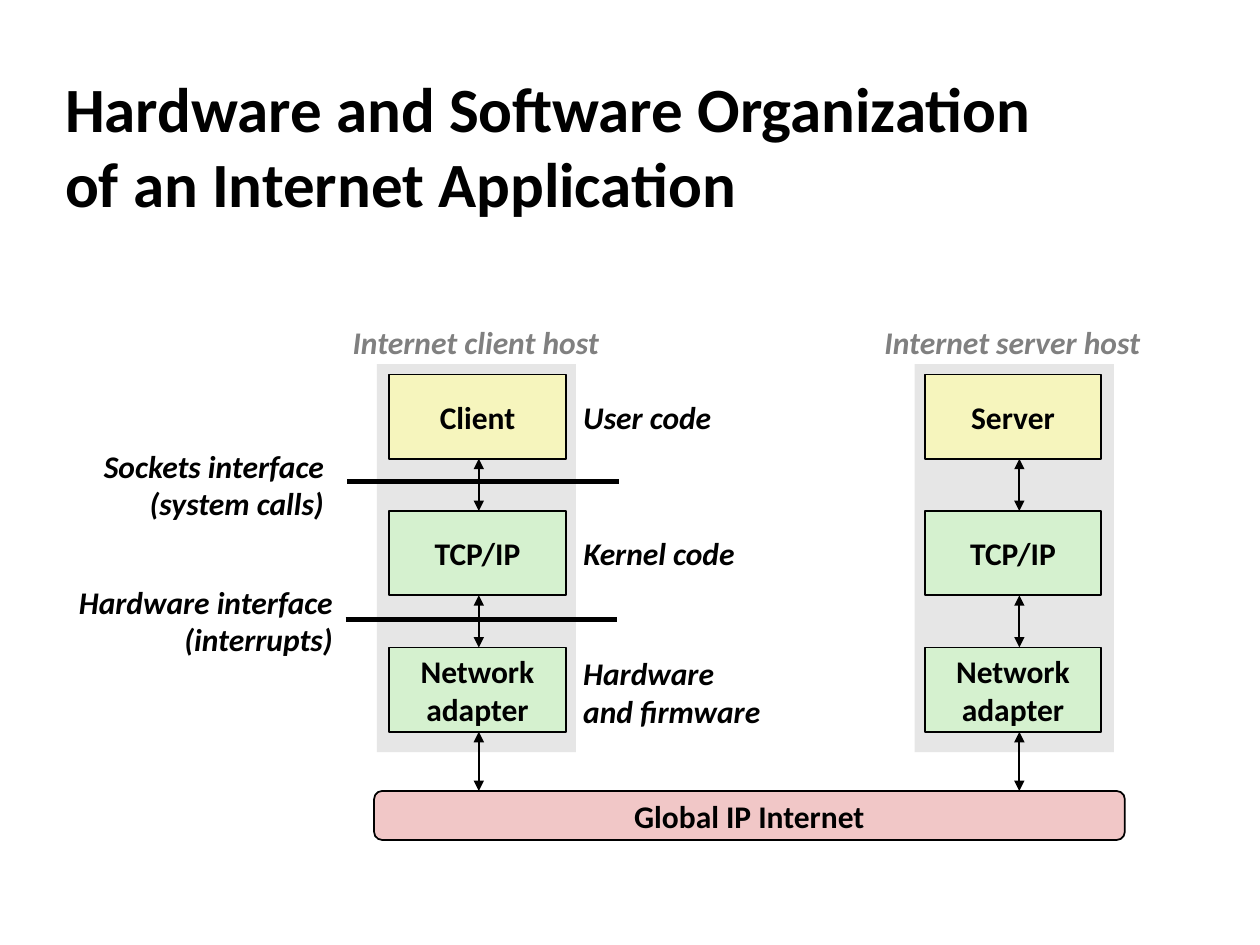
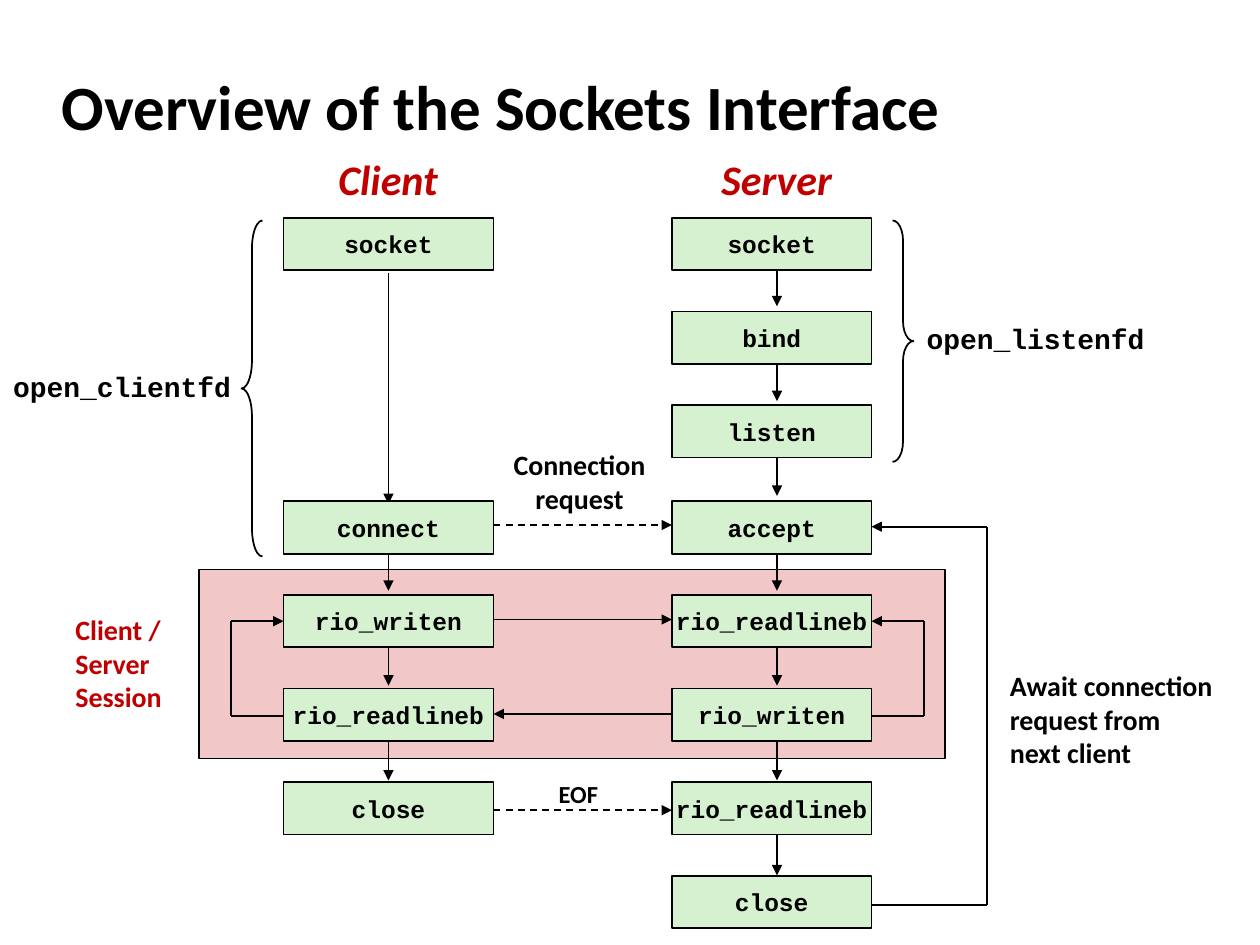
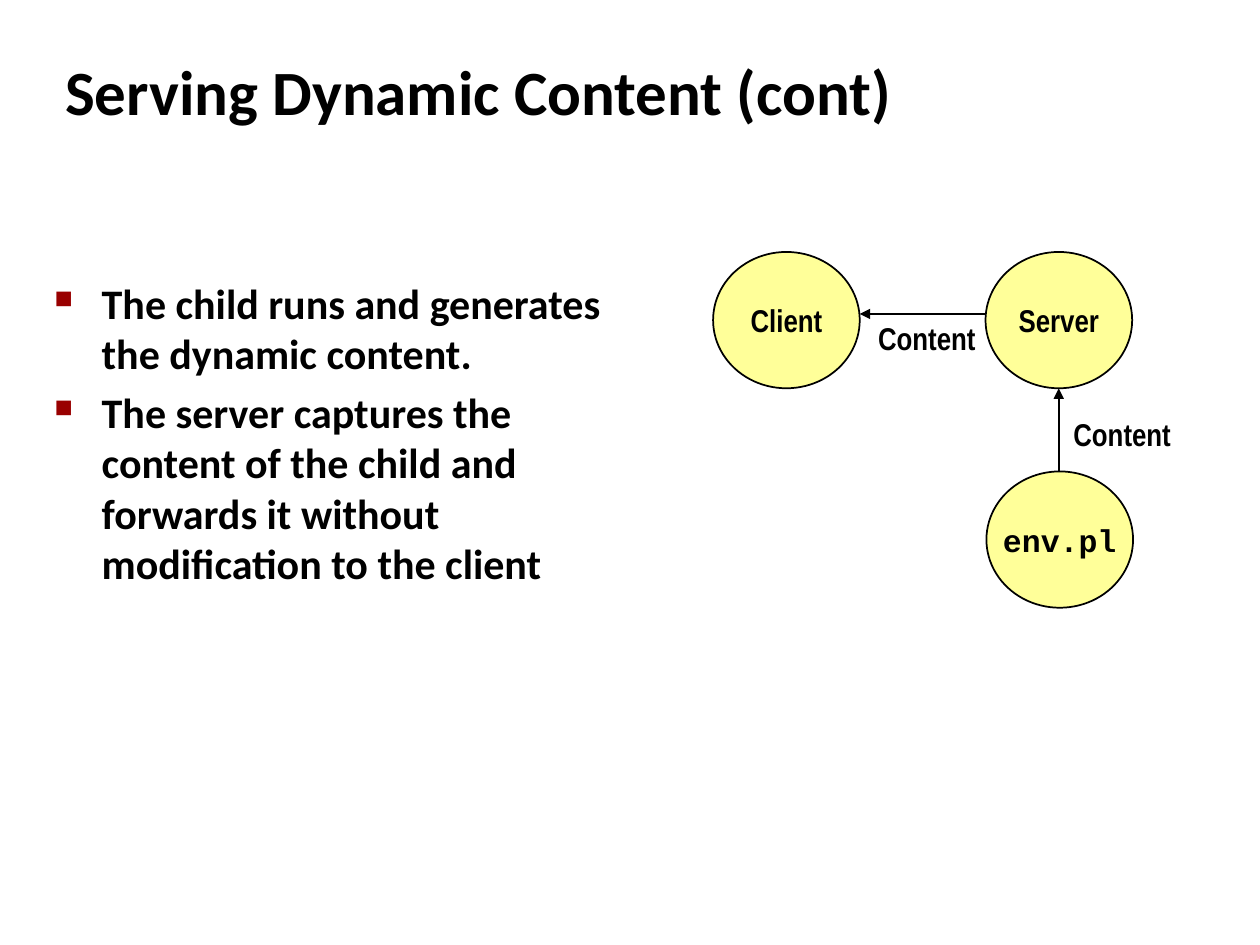
from dataclasses import dataclass

from pptx import Presentation
from pptx import util as u
from pptx.dml.color import RGBColor
from pptx.enum import dml, shapes, text
from pptx.oxml.ns import qn
from lxml import etree

LEFT, CENTER, RIGHT = text.PP_ALIGN.LEFT, text.PP_ALIGN.CENTER, text.PP_ALIGN.RIGHT
MIDDLE, TOP = text.MSO_ANCHOR.MIDDLE, text.MSO_ANCHOR.TOP
RECT = shapes.MSO_SHAPE.RECTANGLE


@dataclass(frozen=True)
class Style:
    size: int
    font: str = "Calibri"
    color: str = "000000"
    italic: bool = False


@dataclass(frozen=True)
class Theme:
    # Colours
    ink: str = "000000"
    host: str = "E6E6E6"
    process: str = "F6F5BD"
    system: str = "D5F1CF"
    network: str = "F1C7C7"
    node: str = "FFFF99"
    bullet: str = "990000"
    # Type styles
    title: Style = Style(36)
    body: Style = Style(24)
    block: Style = Style(18)
    remark: Style = Style(18, italic=True)
    host_name: Style = Style(18, color="808080", italic=True)
    role: Style = Style(24, color="C00000", italic=True)
    session: Style = Style(16, color="C00000")
    note: Style = Style(16)
    small_note: Style = Style(14)
    call: Style = Style(14, "Courier New")
    helper: Style = Style(16, "Courier New")
    program: Style = Style(18, "Courier New")
    narrow: Style = Style(18, "Arial Narrow")


THEME = Theme()


# Element builders; every length is in points
def points(*lengths):
    return [u.Pt(length) for length in lengths]


def write(frame, words, style, align, anchor=MIDDLE, wrap=False):
    frame.text = words
    frame.word_wrap = wrap
    frame.vertical_anchor = anchor
    for paragraph in frame.paragraphs:
        paragraph.alignment = align
        font = paragraph.font
        font.name, font.size = style.font, u.Pt(style.size)
        font.bold, font.italic = True, style.italic
        font.color.rgb = RGBColor.from_string(style.color)


def add_titled_slide(deck, words, area, anchor=MIDDLE):
    slide = deck.slides.add_slide(deck.slide_layouts[5])
    title = slide.shapes.title
    title.left, title.top, title.width, title.height = points(*area)
    write(title.text_frame, words, THEME.title, LEFT, anchor, wrap=True)
    title.text_frame.auto_size = text.MSO_AUTO_SIZE.NONE
    return slide


def add_block(slide, area, fill=None, words="", style=THEME.block,
              geometry=RECT, outlined=True):
    block = slide.shapes.add_shape(geometry, *points(*area))
    block.shadow.inherit = False
    if fill:
        block.fill.solid()
        block.fill.fore_color.rgb = RGBColor.from_string(fill)
    else:
        block.fill.background()
    if outlined:
        block.line.color.rgb = RGBColor.from_string(THEME.ink)
        block.line.width = u.Pt(1)
    else:
        block.line.fill.background()
    if words:
        write(block.text_frame, words, style, CENTER)
    return block


def add_label(slide, area, words, style, align=LEFT, wrap=False):
    label = slide.shapes.add_textbox(*points(*area))
    write(label.text_frame, words, style, align, wrap=wrap)
    label.text_frame.auto_size = text.MSO_AUTO_SIZE.SHAPE_TO_FIT_TEXT


def add_line(slide, x1, y1, x2, y2, arrows="", width=1, dashed=False):
    """Draw a line; arrows is empty, "end" or "both"."""
    link = slide.shapes.add_connector(
        shapes.MSO_CONNECTOR.STRAIGHT, *points(x1, y1, x2, y2))
    link.line.color.rgb = RGBColor.from_string(THEME.ink)
    link.line.width = u.Pt(width)
    if dashed:
        link.line.dash_style = dml.MSO_LINE.DASH
    ends = {"": [], "end": ["a:tailEnd"], "both": ["a:headEnd", "a:tailEnd"]}
    for end in ends[arrows]:
        etree.SubElement(link.line._ln, qn(end), type="triangle")
    etree.SubElement(link._element.spPr, qn("a:effectLst"))


def add_loop(slide, x, far_x, from_y, to_y):
    add_line(slide, x, from_y, far_x, from_y)
    add_line(slide, far_x, from_y, far_x, to_y)
    add_line(slide, far_x, to_y, x, to_y, "end")


def add_brace(slide, geometry, area, curve):
    brace = add_block(slide, area, geometry=geometry)
    brace.adjustments[0] = curve
    brace.adjustments[1] = 0.5


def add_bullets(slide, area, items):
    frame = slide.shapes.add_textbox(*points(*area)).text_frame
    frame.text = "\n".join(items)
    for paragraph in frame.paragraphs:
        props = paragraph._p.get_or_add_pPr()
        props.set("marL", str(u.Pt(27)))
        props.set("indent", str(u.Pt(-27)))
        color = etree.SubElement(props, qn("a:buClr"))
        etree.SubElement(color, qn("a:srgbClr"), val=THEME.bullet)
        etree.SubElement(props, qn("a:buSzPct"), val="60000")
        etree.SubElement(props, qn("a:buChar"), char="■")
    for paragraph in frame.paragraphs[1:]:
        paragraph.space_before = u.Pt(4.8)
    # Fonts come after the bullet elements
    for paragraph in frame.paragraphs:
        font = paragraph.font
        font.name, font.size, font.bold = THEME.body.font, u.Pt(THEME.body.size), True
        font.color.rgb = RGBColor.from_string(THEME.body.color)
    frame.word_wrap = True


# Slide 1: layers of the client and server hosts
def build_organization(deck):
    slide = add_titled_slide(
        deck, "Hardware and Software Organization\vof an Internet Application",
        (30, 39.5, 640, 86.5))
    layer_top, layer_step, layer_height = 214, 78, 48.2

    hosts = [("Client", 215.3, 222.5, 273.6), ("Server", 522.7, 528.5, 582.5)]
    for process, host_x, layer_x, link_x in hosts:
        add_block(slide, (host_x, 208, 113.8, 221.8), THEME.host, outlined=False)
        layers = [(process, THEME.process), ("TCP/IP", THEME.system),
                  ("Network\nadapter", THEME.system)]
        for row, (words, fill) in enumerate(layers):
            top = layer_top + row * layer_step
            bottom = top + layer_height
            add_block(slide, (layer_x, top, 100.8, layer_height), fill, words)
            next_top = top + layer_step if row < 2 else 452
            add_line(slide, link_x, bottom, link_x, next_top, "both")

    add_block(slide, (213.8, 452, 429, 28), THEME.network, "Global IP Internet",
              geometry=shapes.MSO_SHAPE.ROUNDED_RECTANGLE)

    add_label(slide, (193, 180.7, 157.7, 29), "Internet client host",
              THEME.host_name, CENTER)
    add_label(slide, (496.8, 180.7, 163.4, 29), "Internet server host",
              THEME.host_name, CENTER)

    # Interfaces between the layers
    add_label(slide, (50.4, 251.3, 141.8, 51), "Sockets interface\n(system calls)",
              THEME.remark, RIGHT)
    add_label(slide, (36, 329, 161.3, 51), "Hardware interface\n(interrupts)",
              THEME.remark, RIGHT)
    add_line(slide, 198.5, 275, 353.5, 275, width=3)
    add_line(slide, 197.5, 354, 352.5, 354, width=3)

    # What each layer consists of
    add_label(slide, (326.2, 224, 88.6, 29), "User code", THEME.remark)
    add_label(slide, (326.2, 301.7, 102.2, 29), "Kernel code", THEME.remark)
    add_label(slide, (326.2, 370, 117.4, 51), "Hardware\nand firmware", THEME.remark)


# Slide 2: calls made by client and server
def build_sockets(deck):
    slide = add_titled_slide(deck, "Overview of the Sockets Interface",
                             (28, 30, 598, 60))
    client_x, client_width, client_axis = 162, 120, 222
    server_x, server_width, server_axis = 384, 114, 444
    client_right, server_right = client_x + client_width, server_x + server_width

    def call_top(row):
        return 124.5 + 53.5 * row + (1.5 if row > 2 else 0)

    # Session band and its loops
    add_block(slide, (113.8, 325.5, 426.2, 108), THEME.network)
    add_loop(slide, server_right, 528, 409, 355)
    add_loop(slide, client_x, 132, 409, 355)
    add_loop(slide, server_right, 564, 517, 301)

    # Order of the calls
    add_line(slide, client_axis, 156, client_axis, 288, "end")
    steps = [(server_axis, row) for row in range(7)]
    steps += [(client_axis, row) for row in range(3, 6)]
    for axis, row in steps:
        tip = 175 + 54.2 * row
        add_line(slide, axis, tip - 24, axis, tip, "end")

    # Messages between the two sides
    for y in (300, 463):
        add_line(slide, client_right, y, server_x, y, "end", dashed=True)
    add_line(slide, client_right, 354, server_x, 354, "end")
    add_line(slide, server_x, 408, client_right, 408, "end")

    client_calls = {0: "socket", 3: "connect", 4: "rio_writen",
                    5: "rio_readlineb", 6: "close"}
    server_calls = dict(enumerate([
        "socket", "bind", "listen", "accept", "rio_readlineb", "rio_writen",
        "rio_readlineb", "close"]))
    for x, width, calls in ((client_x, client_width, client_calls),
                            (server_x, server_width, server_calls)):
        for row, call in calls.items():
            add_block(slide, (x, call_top(row), width, 30), THEME.system,
                      call, THEME.call)

    # Helper functions
    add_brace(slide, shapes.MSO_SHAPE.RIGHT_BRACE, (510, 126, 12, 138), 0.96)
    add_label(slide, (522, 180, 139.7, 26.6), "open_listenfd", THEME.helper, CENTER)
    add_brace(slide, shapes.MSO_SHAPE.LEFT_BRACE, (138, 126, 12, 192), 1.33)
    add_label(slide, (0, 207.4, 139.7, 26.6), "open_clientfd", THEME.helper, CENTER)

    # Headings and notes
    add_label(slide, (185.8, 84.2, 72, 36), "Client", THEME.role, CENTER)
    add_label(slide, (404.6, 84.2, 78.5, 36), "Server", THEME.role, CENTER)
    add_label(slide, (36, 346.3, 66.2, 65), "Client / Server\nSession",
              THEME.session, wrap=True)
    add_label(slide, (285.8, 252, 90.7, 46), "Connection\nrequest", THEME.note, CENTER)
    add_label(slide, (311.8, 441.4, 37.4, 24.5), "EOF", THEME.small_note, CENTER)
    add_label(slide, (570, 378, 131.8, 65.5),
              "Await connection\nrequest from\nnext client", THEME.note)


# Slide 3: how content reaches the client
def build_dynamic_content(deck):
    slide = add_titled_slide(deck, "Serving Dynamic Content (cont)",
                             (30, 26.6, 648, 45.4), TOP)
    add_bullets(slide, (24, 154.8, 337.7, 350.6), [
        "The child runs and generates the dynamic content.",
        "The server captures the content of the child and forwards it "
        "without modification to the client"])

    nodes = [("Client", 407.5, 144, THEME.narrow), ("Server", 563.2, 144, THEME.narrow),
             ("env.pl", 563.7, 269.4, THEME.program)]
    for name, x, y, style in nodes:
        add_block(slide, (x, y, 83.8, 77.9), THEME.node, name, style,
                  shapes.MSO_SHAPE.OVAL)

    add_line(slide, 605, 269.4, 605, 222, "end")
    add_line(slide, 563.2, 179.4, 491.3, 179.4, "end")
    for x, y in ((599.8, 233.3), (488.2, 178.6)):
        add_label(slide, (x, y, 82.8, 29), "Content", THEME.narrow, CENTER)


def main():
    deck = Presentation()
    deck.slide_width, deck.slide_height = points(720, 540)
    build_organization(deck)
    build_sockets(deck)
    build_dynamic_content(deck)
    deck.save("out.pptx")


if __name__ == "__main__":
    main()
